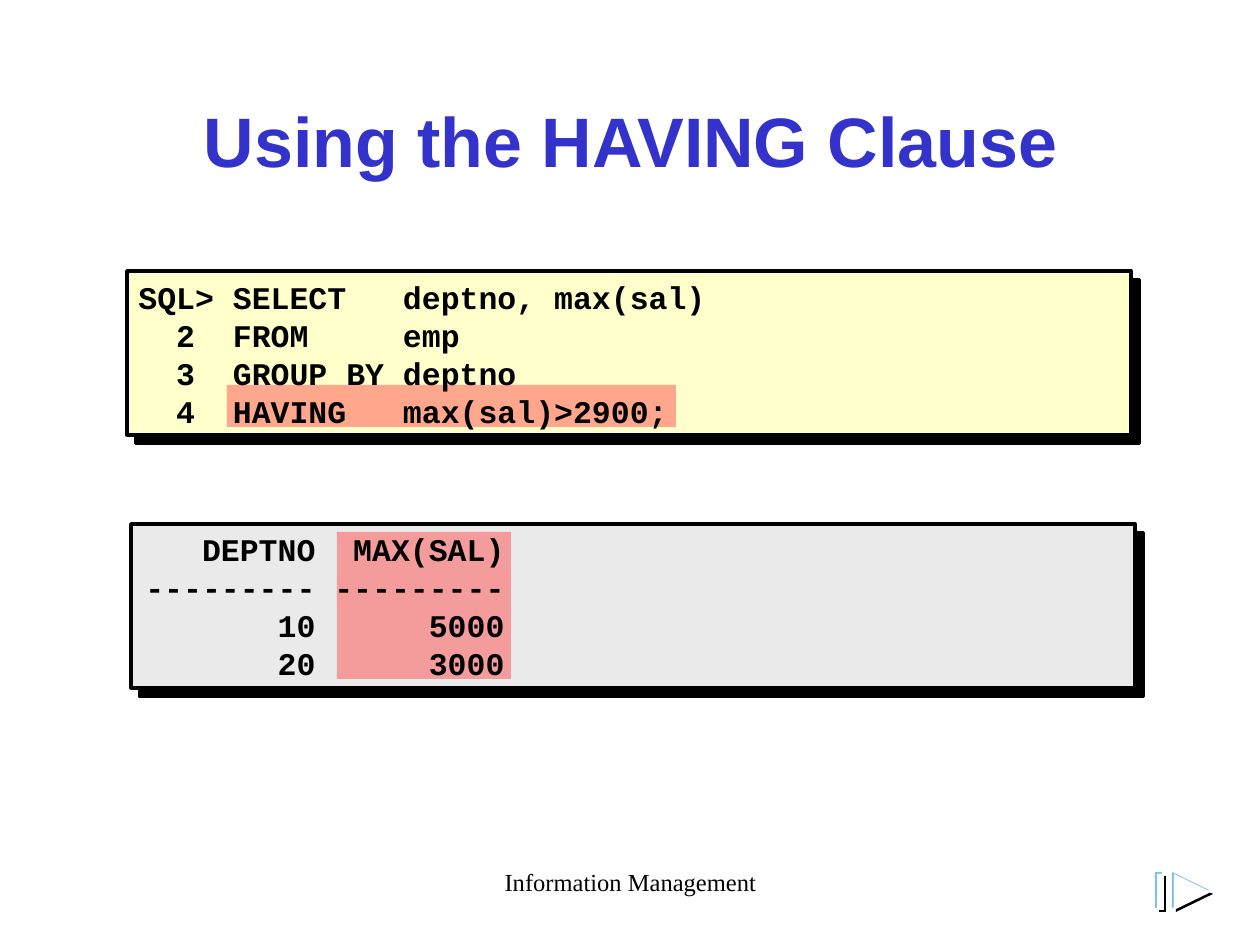
import pptx
import pptx.dml.color
import pptx.enum.shapes
import pptx.enum.text
import pptx.oxml
import pptx.oxml.ns
import pptx.util
from dataclasses import dataclass

TITLE = "Using the HAVING Clause"
FOOTER = "Information Management"
QUERY = [
    ("SQL>", "SELECT", "deptno, max(sal)"),
    ("2", "FROM", "emp"),
    ("3", "GROUP BY", "deptno"),
    ("4", "HAVING", "max(sal)>2900;"),
]
RESULT = [
    ("DEPTNO", "MAX(SAL)"),
    ("-" * 9, "-" * 9),
    ("10", "5000"),
    ("20", "3000"),
]


@dataclass(frozen=True)
class Theme:
    black: str = "000000"
    white: str = "FFFFFF"
    title: str = "3333CC"
    query: str = "FFFFCC"
    result: str = "EAEAEA"
    highlight: str = "FF5050"
    icon: str = "7FC1EB"
    title_font: str = "Arial"
    code_font: str = "Courier New"
    footer_font: str = "Times New Roman"
    title_size: int = 40
    code_size: int = 18
    code_leading: float = 21.7
    footer_size: int = 14


theme = Theme()
EMU_PER_PX = 914400 / 126
SHADOW = (
    '<a:effectLst xmlns:a="http://schemas.openxmlformats.org/drawingml/2006/main">'
    '<a:outerShdw dist="{distance}" dir="2700000" algn="ctr" rotWithShape="0">'
    '<a:srgbClr val="{color}"/></a:outerShdw></a:effectLst>'
)


def px(value):
    return pptx.util.Emu(round(value * EMU_PER_PX))


def rgb(value):
    return pptx.dml.color.RGBColor.from_string(value)


def shadow_effect(points):
    return pptx.oxml.parse_xml(
        SHADOW.format(distance=pptx.util.Pt(points), color=theme.black))


def style_shape(shape, color):
    shape.shadow.inherit = False
    shape.fill.solid()
    shape.fill.fore_color.rgb = rgb(color)
    shape.line.fill.background()
    return shape


def add_rectangle(shapes, box, color):
    kind = pptx.enum.shapes.MSO_SHAPE.RECTANGLE
    return style_shape(shapes.add_shape(kind, *map(px, box)), color)


def add_panel(shapes, box, color):
    panel = add_rectangle(shapes, box, color)
    panel.line.color.rgb = rgb(theme.black)
    panel.line.width = pptx.util.Pt(2)
    properties = panel._element.spPr
    properties.remove(properties.find(pptx.oxml.ns.qn("a:effectLst")))
    properties.append(shadow_effect(7.1))


def add_highlight(shapes, box):
    highlight = add_rectangle(shapes, box, theme.highlight)
    color = highlight._element.spPr.find(".//" + pptx.oxml.ns.qn("a:srgbClr"))
    alpha = color.makeelement(pptx.oxml.ns.qn("a:alpha"), {"val": "50000"})
    color.append(alpha)


def add_run(paragraph, text, font, size, color, bold=False):
    run = paragraph.add_run()
    run.text = text
    run.font.name = font
    run.font.size = pptx.util.Pt(size)
    run.font.color.rgb = rgb(color)
    run.font.bold = bold
    return run


def add_code(shapes, box, lines):
    frame = shapes.add_textbox(*map(px, box)).text_frame
    frame.word_wrap = False
    frame.vertical_anchor = pptx.enum.text.MSO_ANCHOR.MIDDLE
    for index, line in enumerate(lines):
        paragraph = frame.add_paragraph() if index else frame.paragraphs[0]
        paragraph.line_spacing = pptx.util.Pt(theme.code_leading)
        add_run(paragraph, line, theme.code_font, theme.code_size, theme.black, True)


def add_title(slide):
    title = slide.shapes.title
    title.left, title.top, title.width, title.height = map(px, (95, 84, 1071, 158))
    frame = title.text_frame
    frame.vertical_anchor = pptx.enum.text.MSO_ANCHOR.TOP
    frame.margin_top = px(14)
    paragraph = frame.paragraphs[0]
    paragraph.alignment = pptx.enum.text.PP_ALIGN.CENTER
    run = add_run(paragraph, TITLE, theme.title_font, theme.title_size, theme.title, True)
    fill = run._r.rPr.find(pptx.oxml.ns.qn("a:solidFill"))
    fill.addnext(shadow_effect(3))


def add_footer(shapes):
    frame = shapes.add_textbox(*map(px, (431, 861, 399, 63))).text_frame
    frame.word_wrap = True
    paragraph = frame.paragraphs[0]
    paragraph.alignment = pptx.enum.text.PP_ALIGN.CENTER
    add_run(paragraph, FOOTER, theme.footer_font, theme.footer_size, theme.black)


def add_next_icon(shapes):
    bar_left, triangle_left, top = 1155, 1172, 872
    bar_width, triangle_width, height = 7, 37, 36
    layers = [(theme.black, 4), (theme.icon, 0), (theme.white, 2)]
    group = shapes.add_group_shape()
    for color, offset in layers:
        box = (bar_left + offset, top + offset, bar_width, height)
        add_rectangle(group.shapes, box, color)
    for color, offset in layers:
        left, upper = triangle_left + offset, top + offset
        builder = group.shapes.build_freeform(left, upper, scale=EMU_PER_PX)
        builder.add_line_segments(
            [(left, upper + height), (left + triangle_width, upper + height // 2)])
        style_shape(builder.convert_to_shape(), color)


def main():
    presentation = pptx.Presentation()
    presentation.slide_width, presentation.slide_height = px(1260), px(945)
    slide = presentation.slides.add_slide(presentation.slide_layouts[5])
    shapes = slide.shapes
    query_lines = [f"{prompt:>3}".ljust(5) + f"{clause:<9}{value}"
                   for prompt, clause, value in QUERY]
    result_lines = [f"{department:>9} {salary:>9}" for department, salary in RESULT]

    add_footer(shapes)
    add_panel(shapes, (127, 271, 1004, 164), theme.query)
    add_panel(shapes, (131, 524, 1004, 164), theme.result)
    add_title(slide)
    add_highlight(shapes, (227, 385, 449, 42))
    add_highlight(shapes, (337, 532, 174, 147))
    add_code(shapes, (126, 270, 1008, 167), query_lines)
    add_code(shapes, (133, 522, 1008, 167), result_lines)
    add_next_icon(shapes)
    presentation.save("out.pptx")


if __name__ == "__main__":
    main()
